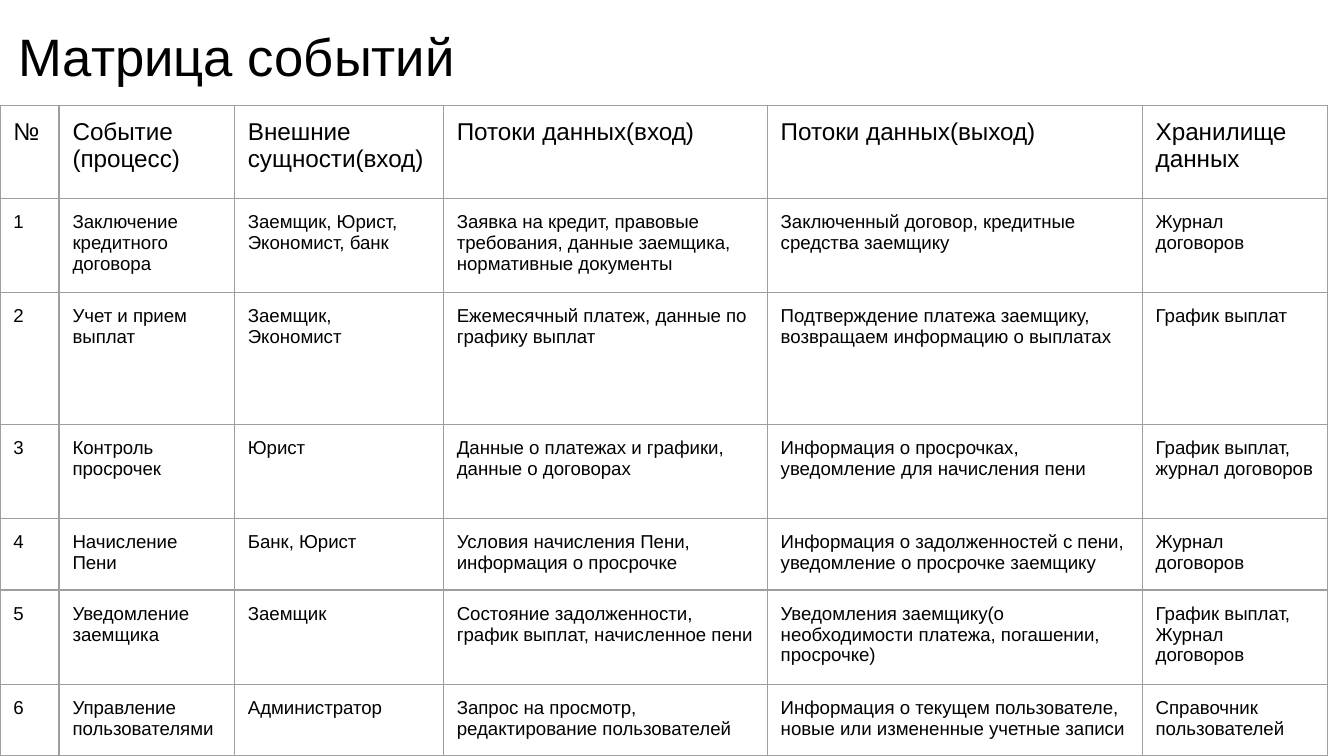
from dataclasses import dataclass

import pptx
import pptx.dml.color
import pptx.enum.text
import pptx.oxml
import pptx.oxml.ns
import pptx.util

EMU_PER_PX = 4572


@dataclass(frozen=True)
class Theme:
    """Colours, font and type sizes of the slide."""
    font: str = "Arial"
    text: str = "000000"
    border: str = "9E9E9E"
    title_size: float = 28.2
    header_size: float = 13
    body_size: float = 10
    border_width: float = 0.75


THEME = Theme()
INSET = 20
FRAME_SIDE = 656
COLUMN_WIDTHS = [88, 261, 311, 482, 558, 276]
ROW_HEIGHTS = [138, 140, 196, 140, 84, 84, 84]
HEADER = ["№", "Событие (процесс)", "Внешние сущности(вход)",
          "Потоки данных(вход)", "Потоки данных(выход)", "Хранилище данных"]
EVENTS = [
    ["Заключение кредитного договора", "Заемщик, Юрист, Экономист, банк",
     "Заявка на кредит, правовые требования, данные заемщика, нормативные документы",
     "Заключенный договор, кредитные средства заемщику", "Журнал договоров"],
    ["Учет и прием выплат", "Заемщик, Экономист",
     "Ежемесячный платеж, данные по графику выплат",
     "Подтверждение платежа заемщику, возвращаем информацию о выплатах",
     "График выплат"],
    ["Контроль просрочек", "Юрист",
     "Данные о платежах и графики, данные о договорах",
     "Информация о просрочках, уведомление для начисления пени",
     "График выплат, журнал договоров"],
    ["Начисление Пени", "Банк, Юрист",
     "Условия начисления Пени, информация о просрочке",
     "Информация о задолженностей с пени, уведомление о просрочке заемщику",
     "Журнал договоров"],
    ["Уведомление заемщика", "Заемщик",
     "Состояние задолженности, график выплат, начисленное пени",
     "Уведомления заемщику(о необходимости платежа, погашении, просрочке)",
     "График выплат, Журнал договоров"],
    ["Управление пользователями", "Администратор",
     "Запрос на просмотр, редактирование пользователей",
     "Информация о текущем пользователе, новые или измененные учетные записи",
     "Справочник пользователей"],
]


def px(n):
    """Turn px into EMU."""
    return pptx.util.Emu(n * EMU_PER_PX)


def set_text(tf, text, size):
    """Write one styled paragraph into a text frame."""
    p = tf.paragraphs[0]
    p.text = text
    p.font.name = THEME.font
    p.font.size = pptx.util.Pt(size)
    p.font.color.rgb = pptx.dml.color.RGBColor.from_string(THEME.text)


def set_margins(box):
    """Set equal insets on a cell or text frame."""
    box.margin_left = box.margin_right = px(INSET)
    box.margin_top = box.margin_bottom = px(INSET)


def set_borders(cell):
    """Draw the four borders of a table cell."""
    tc_pr = cell._tc.get_or_add_tcPr()
    width = pptx.util.Pt(THEME.border_width)
    for side in ("lnL", "lnR", "lnT", "lnB"):
        tc_pr.append(pptx.oxml.parse_xml(
            f'<a:{side} {pptx.oxml.ns.nsdecls("a")} w="{width}"><a:solidFill>'
            f'<a:srgbClr val="{THEME.border}"/></a:solidFill></a:{side}>'))


def add_title(s, text):
    """Add the slide title."""
    tf = s.shapes.add_textbox(px(8), px(16), px(1864), px(126)).text_frame
    tf.word_wrap = True
    tf.vertical_anchor = pptx.enum.text.MSO_ANCHOR.TOP
    set_margins(tf)
    set_text(tf, text, THEME.title_size)


def add_event_table(s, rows):
    """Add the bordered event matrix."""
    frame = s.shapes.add_table(len(rows), len(COLUMN_WIDTHS), px(0), px(157),
                               px(FRAME_SIDE), px(FRAME_SIDE))
    table = frame.table
    table.first_row = table.horz_banding = False
    for column, width in zip(table.columns, COLUMN_WIDTHS):
        column.width = px(width)
    for i, (row, height, texts) in enumerate(zip(table.rows, ROW_HEIGHTS, rows)):
        row.height = px(height)
        size = THEME.body_size if i else THEME.header_size
        for cell, text in zip(row.cells, texts):
            set_margins(cell)
            set_borders(cell)
            cell.fill.background()
            set_text(cell.text_frame, text, size)
    frame.width = frame.height = px(FRAME_SIDE)


def main():
    """Build and save the slide."""
    prs = pptx.Presentation()
    prs.slide_width, prs.slide_height = px(2000), px(1125)
    s = prs.slides.add_slide(prs.slide_layouts[6])
    add_title(s, "Матрица событий")
    numbered = [[str(n), *event] for n, event in enumerate(EVENTS, 1)]
    add_event_table(s, [HEADER, *numbered])
    prs.save("out.pptx")


if __name__ == "__main__":
    main()
